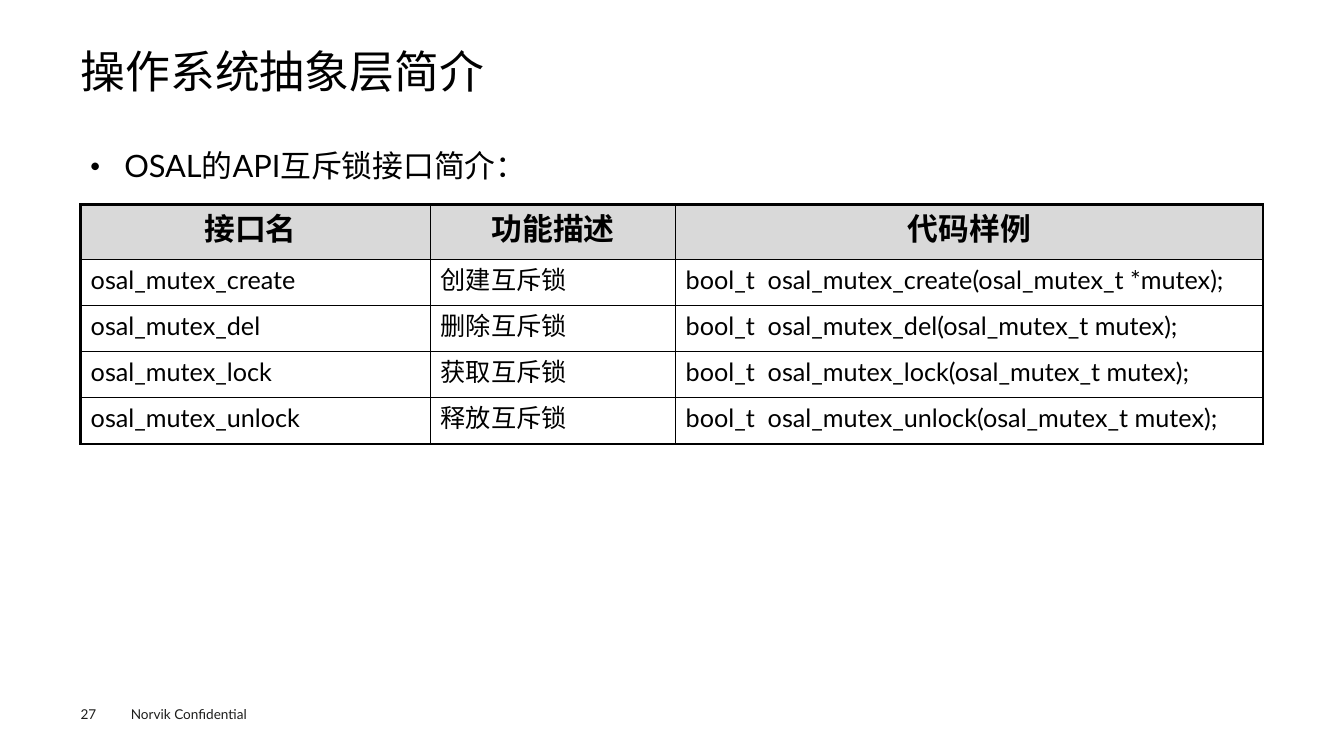
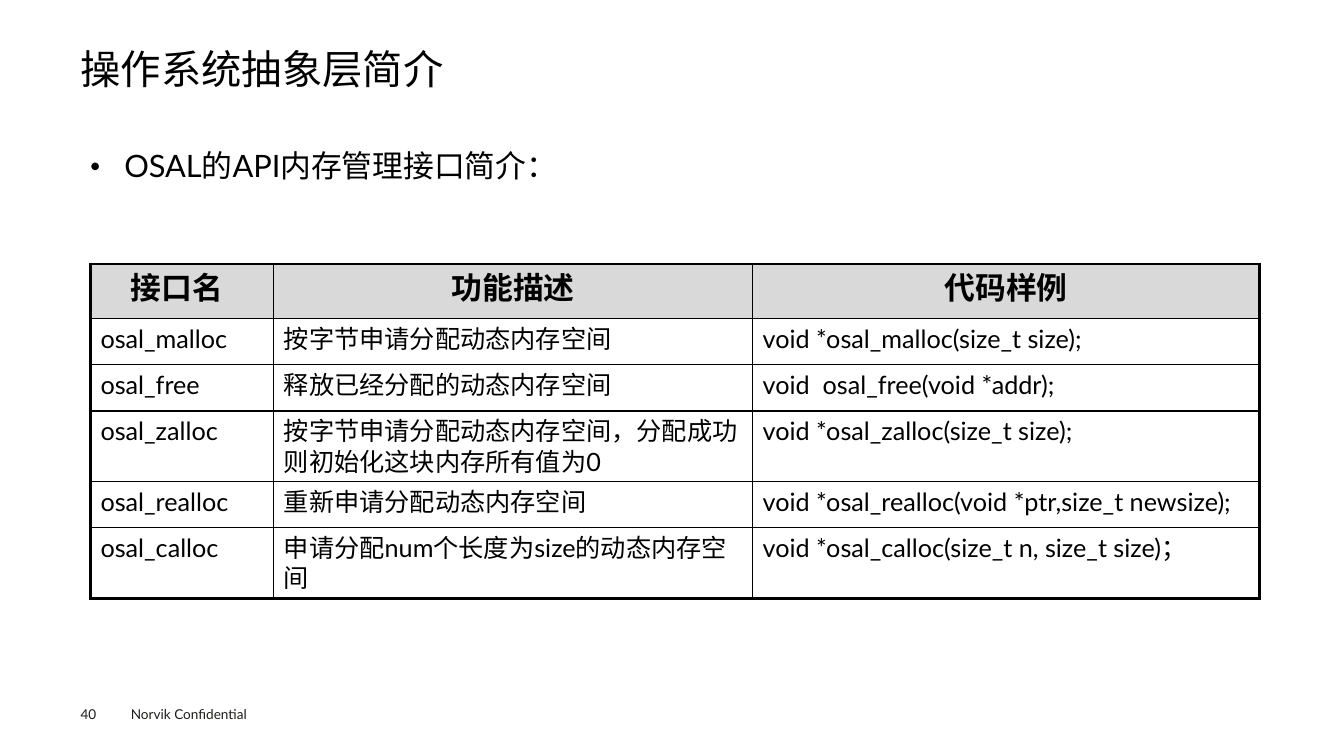
from dataclasses import dataclass

from lxml import etree
from pptx import Presentation
from pptx.dml.color import RGBColor
from pptx.enum.lang import MSO_LANGUAGE_ID
from pptx.enum.text import MSO_ANCHOR, MSO_AUTO_SIZE, PP_ALIGN
from pptx.oxml.ns import qn
from pptx.util import Pt

LEFT, MID, JUST = PP_ALIGN.LEFT, PP_ALIGN.CENTER, PP_ALIGN.JUSTIFY
TOP = MSO_ANCHOR.TOP
FIXED = MSO_AUTO_SIZE.NONE
CHINESE = MSO_LANGUAGE_ID.SIMPLIFIED_CHINESE

FONT = "Lato"
BLACK, WHITE, GREY, INK = "000000", "FFFFFF", "D9D9D9", "1D1D1B"
EDGE, RULE = 2.25, 1
INSET = (7.2, 3.6, 7.2, 3.6)
BARE = (0, 0, 0, 0)
MARGIN, WIDE = 57.6, 844.8
HEAD_TALL, ROW_TALL = 39, 33
TITLE = "操作系统抽象层简介"
HEADS = ("接口名", "功能描述", "代码样例")


@dataclass(frozen=True)
class Page:
    number: int
    size: float
    lead: str
    left: float
    top: float
    cols: tuple[float, ...]
    rows: tuple[tuple[str, ...], ...]


PAGES = (
    Page(27, 32, "OSAL的API互斥锁接口简介：", 57.6, 146.2, (250, 175, 419.6), (
        ("osal_mutex_create", "创建互斥锁",
         "bool_t  osal_mutex_create(osal_mutex_t *mutex);"),
        ("osal_mutex_del", "删除互斥锁",
         "bool_t  osal_mutex_del(osal_mutex_t mutex);"),
        ("osal_mutex_lock", "获取互斥锁",
         "bool_t  osal_mutex_lock(osal_mutex_t mutex);"),
        ("osal_mutex_unlock", "释放互斥锁",
         "bool_t  osal_mutex_unlock(osal_mutex_t mutex);"),
    )),
    Page(40, 28.8, "OSAL的API内存管理接口简介：", 64.6, 188.6, (131, 342, 362), (
        ("osal_malloc", "按字节申请分配动态内存空间",
         "void *osal_malloc(size_t size);"),
        ("osal_free", "释放已经分配的动态内存空间",
         "void  osal_free(void *addr);"),
        ("osal_zalloc",
         "按字节申请分配动态内存空间，分配成功则初始化这块内存所有值为0",
         "void *osal_zalloc(size_t size);"),
        ("osal_realloc", "重新申请分配动态内存空间",
         "void *osal_realloc(void *ptr,size_t newsize);"),
        ("osal_calloc", "申请分配num个长度为size的动态内存空间",
         "void *osal_calloc(size_t n, size_t size)；"),
    )),
)


def paint(target, tint: str) -> None:
    target.solid()
    target.fore_color.rgb = RGBColor.from_string(tint)


def write(frame, text: str, *, size: float, tint: str = BLACK,
          bold: bool = False, align=LEFT, space: float = 1) -> None:
    para = frame.paragraphs[0]
    para.alignment = align
    para.line_spacing = space
    para.space_before = Pt(0)
    run = para.add_run()
    run.text = text
    font = run.font
    font.size, font.bold, font.name = Pt(size), bold, FONT
    font.language_id = CHINESE
    paint(font.fill, tint)
    etree.SubElement(run._r.rPr, qn("a:ea"), typeface=FONT)


def place(shape, left: float, top: float, wide: float, tall: float,
          inset: tuple[float, ...] = BARE):
    shape.left, shape.top = Pt(left), Pt(top)
    shape.width, shape.height = Pt(wide), Pt(tall)
    frame = shape.text_frame
    frame.auto_size, frame.word_wrap = FIXED, True
    frame.vertical_anchor = TOP
    (frame.margin_left, frame.margin_top,
     frame.margin_right, frame.margin_bottom) = map(Pt, inset)
    return frame


def bullet(frame) -> None:
    props = frame.paragraphs[0]._p.get_or_add_pPr()
    props.set("marL", str(Pt(24)))
    props.set("indent", str(Pt(-24)))
    etree.SubElement(props, qn("a:buSzPct"), val="50000")
    etree.SubElement(props, qn("a:buFont"), typeface=FONT)
    etree.SubElement(props, qn("a:buChar"), char="●")


def border(cell, side: str, width: float) -> None:
    props = cell._tc.get_or_add_tcPr()
    line = etree.SubElement(props, qn(f"a:ln{side}"), w=str(Pt(width)))
    fill = etree.SubElement(line, qn("a:solidFill"))
    etree.SubElement(fill, qn("a:srgbClr"), val=BLACK)


def grid(slide, page: Page) -> None:
    rows = (HEADS, *page.rows)
    tall = HEAD_TALL + ROW_TALL * len(page.rows)
    table = slide.shapes.add_table(
        len(rows), len(page.cols), Pt(page.left), Pt(page.top),
        Pt(sum(page.cols)), Pt(tall)).table
    table.horz_banding = False
    for col, wide in zip(table.columns, page.cols):
        col.width = Pt(wide)
    for r, row in enumerate(rows):
        head = r == 0
        table.rows[r].height = Pt(HEAD_TALL if head else ROW_TALL)
        for c, text in enumerate(row):
            cell = table.cell(r, c)
            outer = {"L": c == 0, "R": c == len(row) - 1,
                     "T": head, "B": r == len(rows) - 1}
            for side, edge in outer.items():
                border(cell, side, EDGE if edge else RULE)
            paint(cell.fill, GREY if head else WHITE)
            if head and c == 0:
                cell.margin_right = Pt(14.4)
            write(cell.text_frame, text, size=22 if head else 18,
                  bold=head, align=MID if head else LEFT)


def label(slide, text: str, box: tuple[float, ...],
          inset: tuple[float, ...] = BARE) -> None:
    frame = place(slide.shapes.add_textbox(0, 0, 0, 0), *box, inset)
    write(frame, text, size=9.7, tint=INK)


def build(deck, page: Page) -> None:
    slide = deck.slides.add_slide(deck.slide_layouts[1])
    paint(slide.background.fill, WHITE)
    label(slide, "Norvik Confidential", (86.4, 500.4, 115.2, 19.4), INSET)
    label(slide, str(page.number), (MARGIN, 504, 39.6, 11.5))
    title = place(slide.shapes.title, MARGIN, 35.3, WIDE, 38.2)
    write(title, TITLE, size=page.size, space=0.9)
    body = place(slide.placeholders[1], MARGIN, 90.7, WIDE, 376.6, INSET)
    bullet(body)
    write(body, page.lead, size=22, align=JUST, space=1.4)
    grid(slide, page)


def main() -> None:
    deck = Presentation()
    deck.slide_width, deck.slide_height = Pt(960), Pt(540)
    for page in PAGES:
        build(deck, page)
    deck.save("out.pptx")


if __name__ == "__main__":
    main()
